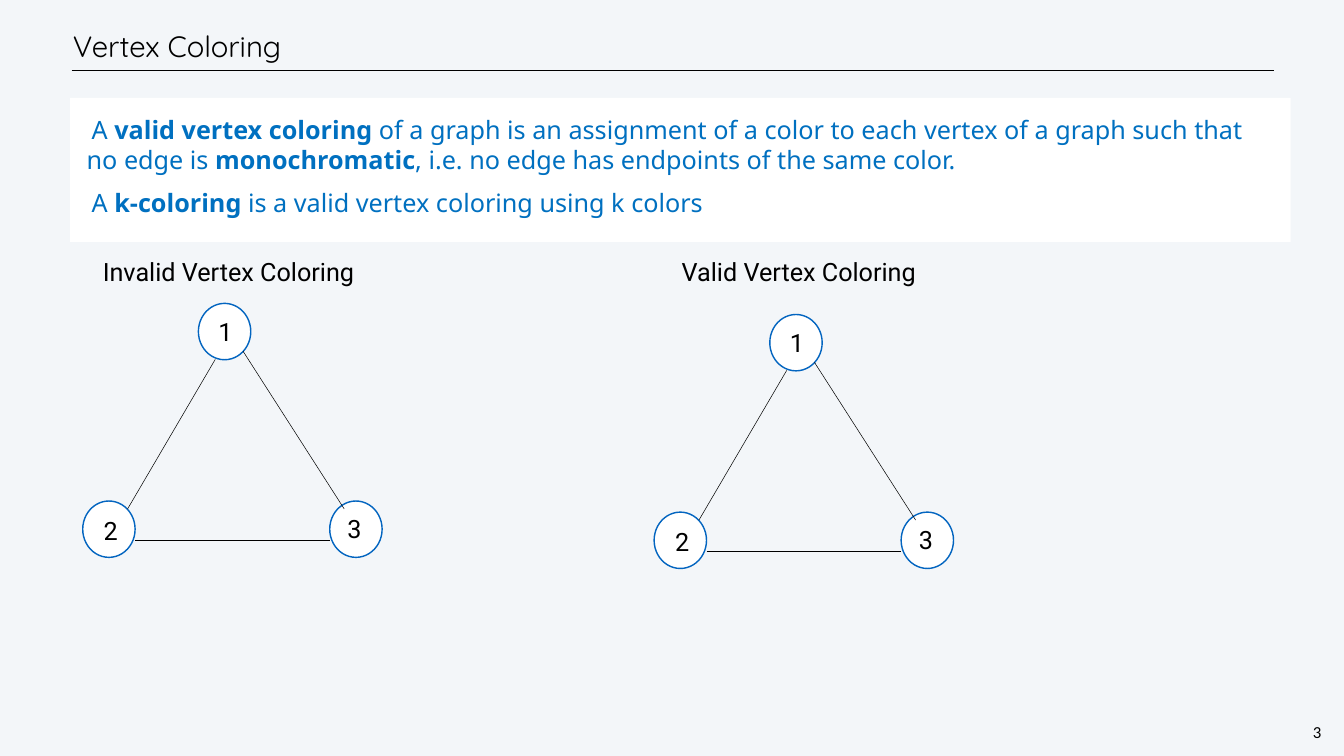
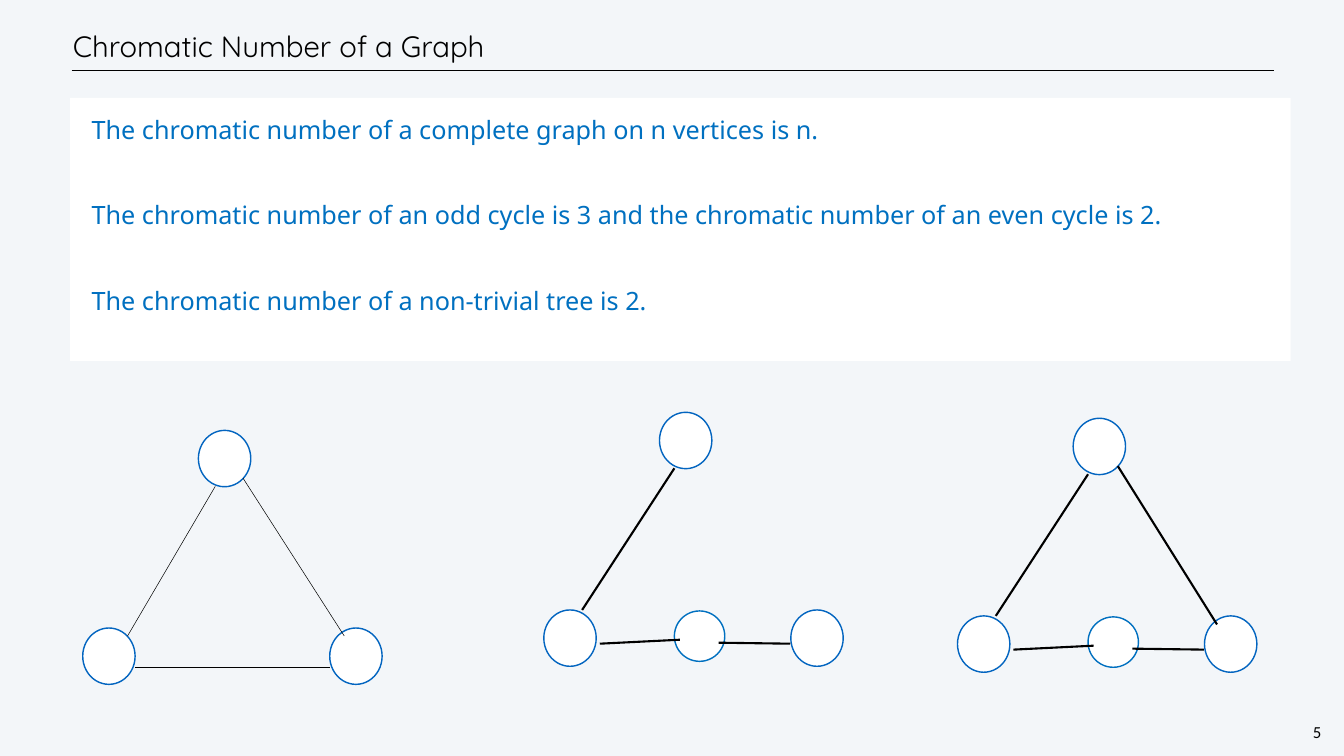
from lxml import etree
from pptx import Presentation
from pptx import util as u
from pptx.dml.color import RGBColor
from pptx.enum import shapes, text
from pptx.oxml import ns

BACKGROUND = RGBColor(0xF3, 0xF6, 0xF9)
BLACK = RGBColor(0, 0, 0)
WHITE = RGBColor(255, 255, 255)
TEXT_BLUE = RGBColor(0x00, 0x70, 0xC0)
VERTEX_BLUE = RGBColor(0x03, 0x65, 0xC0)

VERTEX = (2.64, 2.84)
MIDDLE_VERTEX = (2.54, 2.54)
CORNERS = [(5.83, 0), (0, 9.96), (12.45, 9.96)]
MIDDLE = (6.58, 10.01)
LABEL_SHIFTS = [(0.86, 0.48), (0.91, 0.56), (0.74, 0.46)]

TRIANGLE_EDGES = [(6.68, 2.82, 2.26, 10.36), (2.64, 11.94, 12.45, 11.94), (8.08, 2.41, 13.18, 10.36)]
TREE_EDGES = [(6.58, 2.82, 1.93, 9.96), (2.82, 11.66, 6.86, 11.46), (8.81, 11.61, 12.42, 11.66)]
CYCLE_EDGES = TREE_EDGES + [(8.08, 2.41, 13.08, 10.39)]

SLIDES = [
    {
        "title": "Vertex Coloring",
        "number": "3",
        "body_height": 7.26,
        "gap": 18,
        "body": [
            [("A ", False), ("valid vertex coloring ", True),
             ("of a graph is an assignment of a color to each vertex of a graph such that no edge is ", False),
             ("monochromatic", True), (", i.e. no edge has endpoints of the same color.", False)],
            [("A ", False), ("k-coloring", True), (" is a valid vertex coloring using k colors", False)],
        ],
        "captions": [(4.93, "Invalid Vertex Coloring"), (34.11, "Valid Vertex Coloring")],
        "graphs": [(4.17, 15.29, TRIANGLE_EDGES, 0.75, False, "123"),
                   (32.97, 15.85, TRIANGLE_EDGES, 0.75, False, "123")],
    },
    {
        "title": "Chromatic Number of a Graph",
        "number": "5",
        "body_height": 13.26,
        "gap": 79,
        "body": [
            [("The chromatic number of a complete graph on n vertices is n.", False)],
            [("The chromatic number of an odd cycle is 3 and the chromatic number of an even cycle is 2.", False)],
            [("The chromatic number of a non-trivial tree is 2.", False)],
        ],
        "captions": [],
        "graphs": [(4.17, 21.69, TRIANGLE_EDGES, 0.75, False, ""),
                   (27.41, 20.78, TREE_EDGES, 3, True, ""),
                   (48.26, 21.08, CYCLE_EDGES, 3, True, "")],
    },
]


def write(box, paras, font, size, color=BLACK, inset=0.15, anchor=text.MSO_ANCHOR.MIDDLE,
          wrap=True, spacing=None, align=text.PP_ALIGN.LEFT):
    frame = box.text_frame
    frame.word_wrap = wrap
    frame.vertical_anchor = anchor
    frame.margin_left = frame.margin_right = frame.margin_top = frame.margin_bottom = u.Cm(inset)
    for index, spans in enumerate(paras):
        para = frame.add_paragraph() if index else frame.paragraphs[0]
        para.alignment = align
        if spacing:
            para.line_spacing = u.Pt(spacing)
        for words, bold in spans:
            span = para.add_run()
            span.text = words
            span.font.name = font
            span.font.size = u.Pt(size)
            span.font.bold = bold
            span.font.color.rgb = color
    return frame


def connect(parent, ends, width):
    line = parent.add_connector(shapes.MSO_CONNECTOR.STRAIGHT, *[u.Cm(end) for end in ends])
    line.line.color.rgb = BLACK
    line.line.width = u.Pt(width)
    etree.SubElement(line._element.spPr, ns.qn("a:effectLst"))


deck = Presentation()
deck.slide_width = u.Cm(67.74)
deck.slide_height = u.Cm(38.1)

for content in SLIDES:
    page = deck.slides.add_slide(deck.slide_layouts[6])
    page.background.fill.solid()
    page.background.fill.fore_color.rgb = BACKGROUND
    connect(page.shapes, (3.61, 3.56, 64.19, 3.56), 1)

    number = page.shapes.add_textbox(u.Cm(65.84), u.Cm(36.3), u.Cm(1.09), u.Cm(1.19))
    write(number, [[(content["number"], False)]], "Calibri", 24, inset=0.1,
          anchor=text.MSO_ANCHOR.TOP, wrap=False, spacing=28, align=text.PP_ALIGN.CENTER)

    title = page.shapes.add_textbox(u.Cm(3.53), u.Cm(1.07), u.Cm(57.45), u.Cm(2.51))
    frame = write(title, [[(content["title"], False)]], "Quicksand", 42, spacing=50)
    frame.paragraphs[0].space_before = u.Pt(3)

    panel = page.shapes.add_shape(shapes.MSO_SHAPE.RECTANGLE, u.Cm(3.53), u.Cm(4.93),
                                  u.Cm(61.52), u.Cm(content["body_height"]))
    panel.shadow.inherit = False
    panel.fill.solid()
    panel.fill.fore_color.rgb = WHITE
    panel.line.fill.background()
    frame = write(panel, content["body"], "Noto Sans", 36, TEXT_BLUE, 0.84,
                  text.MSO_ANCHOR.TOP, spacing=43)
    for index, para in enumerate(frame.paragraphs):
        para.space_before = u.Pt(content["gap"] if index else 18)
        properties = para._p.get_or_add_pPr()
        properties.set("marL", "0")
        properties.set("indent", str(u.Cm(0.25)))

    for left, words in content["captions"]:
        caption = page.shapes.add_textbox(u.Cm(left), u.Cm(12.65), u.Cm(18), u.Cm(1.8))
        write(caption, [[(words, False)]], "Roboto", 36, inset=0.25, anchor=text.MSO_ANCHOR.TOP)

    for left, top, edges, width, has_middle, labels in content["graphs"]:
        graph = page.shapes.add_group_shape().shapes
        vertices = [(corner, VERTEX, VERTEX_BLUE) for corner in CORNERS]
        if has_middle:
            vertices.append((MIDDLE, MIDDLE_VERTEX, TEXT_BLUE))
        for (x, y), (wide, high), color in vertices:
            vertex = graph.add_shape(shapes.MSO_SHAPE.OVAL, u.Cm(left + x), u.Cm(top + y),
                                     u.Cm(wide), u.Cm(high))
            vertex.shadow.inherit = False
            vertex.fill.solid()
            vertex.fill.fore_color.rgb = WHITE
            vertex.line.color.rgb = color
            vertex.line.width = u.Pt(2)
        for x1, y1, x2, y2 in edges:
            connect(graph, (left + x1, top + y1, left + x2, top + y2), width)
        for label, (x, y), (dx, dy) in zip(labels, CORNERS, LABEL_SHIFTS):
            box = graph.add_textbox(u.Cm(left + x + dx), u.Cm(top + y + dy), u.Cm(2.74), u.Cm(1.83))
            write(box, [[(label, False)]], "Roboto", 36)

deck.save("out.pptx")
